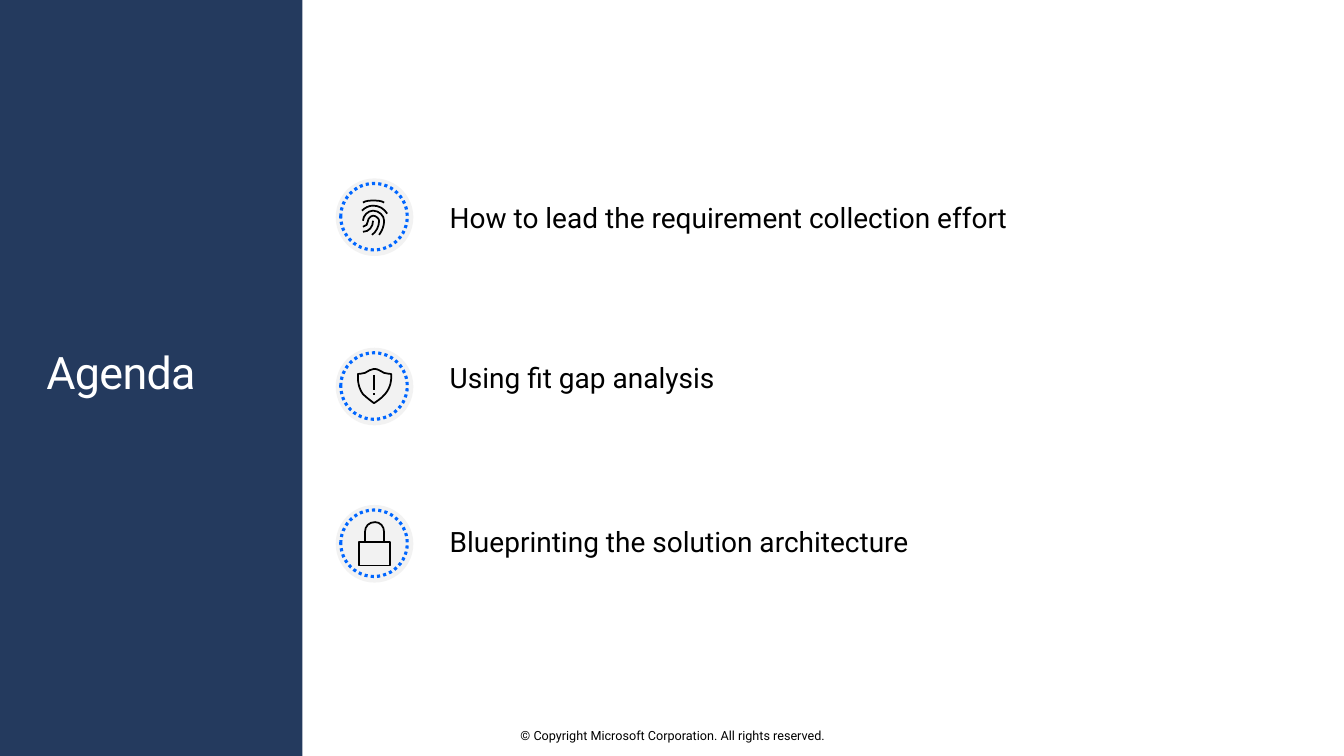
from lxml import etree
from pptx import Presentation
from pptx.dml.color import RGBColor
from pptx.enum.dml import MSO_LINE
from pptx.enum.shapes import MSO_SHAPE as Preset
from pptx.enum.text import MSO_ANCHOR as Anchor, MSO_AUTO_SIZE as AutoSize, PP_ALIGN as Align
from pptx.oxml.ns import qn
from pptx.util import Pt

PX = 9144  # EMU per px, 100 px to the inch
WIDTH, HEIGHT = 1333, 750
FONT = "Roboto"
NAVY = RGBColor(0x24, 0x3A, 0x5E)
BLUE = RGBColor(0x00, 0x66, 0xFF)
GREY = RGBColor(0xF2, 0xF2, 0xF2)
BLACK = RGBColor(0x00, 0x00, 0x00)
WHITE = RGBColor(0xFF, 0xFF, 0xFF)

BADGE_SIZE = 77
RING_INSET, RING_SIZE = 5, 66

# Icon strokes in px from the badge corner: a start point, then line ends
# (two numbers) or cubic curves (six numbers).
FINGERPRINT = [
    [(37, 42), (37, 48, 33, 53, 27, 53)],
    [(48, 24), (45, 22, 41, 22, 37, 22), (34, 22, 30, 22, 27, 24)],
    [(51, 35), (48, 30, 43, 27, 37, 27), (33, 27, 29, 29, 26, 32)],
    [(43, 56), (46, 52, 48, 47, 48, 42), (48, 37, 43, 32, 37, 32),
     (32, 32, 27, 37, 27, 42)],
    [(36, 56), (40, 53, 43, 48, 43, 42), (43, 40, 40, 37, 37, 37),
     (35, 37, 32, 40, 32, 42), (32, 45, 30, 48, 27, 48)],
]
SHIELD = [
    [(27, 46), (22, 39, 22, 31, 22, 31), (22, 26), (22, 26, 26, 26, 29, 25),
     (33, 23, 35, 21, 38, 21), (42, 21, 44, 23, 48, 25),
     (51, 26, 55, 26, 55, 26), (55, 31), (55, 31, 55, 39, 49, 46),
     (46, 50, 38, 55, 38, 55), (38, 55, 31, 50, 27, 46)],
    [(38, 27), (38, 42)],
    [(38, 45), (38, 47)],
]
PADLOCK = [
    [(54, 60), (23, 60), (23, 37), (54, 37), (54, 60)],
    [(48, 37), (48, 27), (48, 21, 44, 17, 39, 17),
     (33, 17, 29, 21, 29, 27), (29, 37)],
]

# Icon, badge top, text top, wording
AGENDA = [
    (FINGERPRINT, 177, 149, "How to lead the requirement collection effort"),
    (SHIELD, 345, 307, "Using fit gap analysis"),
    (PADLOCK, 501, 470, "Blueprinting the solution architecture"),
]


def emu(*lengths):
    return [length * PX for length in lengths]


def write(shape, text, size, color, align=Align.LEFT, margins=(0, 0, 0, 0)):
    frame = shape.text_frame
    frame.word_wrap = True
    frame.auto_size = AutoSize.NONE
    frame.vertical_anchor = Anchor.MIDDLE
    (frame.margin_left, frame.margin_top,
     frame.margin_right, frame.margin_bottom) = emu(*margins)
    paragraph = frame.paragraphs[0]
    paragraph.alignment = align
    run = paragraph.add_run()
    run.text = text
    run.font.name = FONT
    run.font.size = Pt(size)
    run.font.color.rgb = color
    return run


def add_plain_shape(shapes, preset, box, fill=None):
    shape = shapes.add_shape(preset, *emu(*box))
    shape.shadow.inherit = False
    shape.line.fill.background()
    if fill is None:
        shape.fill.background()
    else:
        shape.fill.solid()
        shape.fill.fore_color.rgb = fill
    return shape


def set_line(shape, color, width):
    shape.line.color.rgb = color
    shape.line.width = Pt(width)


def bend(line_to, segment, left, top):
    """Turn a drawn line segment into a cubic curve."""
    line_to.tag  # the segment keeps its place in the outline
    curve = etree.Element(qn("a:cubicBezTo"))
    for x, y in zip(segment[::2], segment[1::2]):
        etree.SubElement(curve, qn("a:pt"), x=str(x * PX - left), y=str(y * PX - top))
    line_to.getparent().replace(line_to, curve)


def add_icon(shapes, strokes, left, top):
    builder = None
    for stroke in strokes:
        points = [emu(left + point[-2], top + point[-1]) for point in stroke]
        if builder is None:
            builder = shapes.build_freeform(*points[0], scale=1.0)
        else:
            builder.move_to(*points[0])
        builder.add_line_segments(points[1:], close=points[0] == points[-1])
    icon = builder.convert_to_shape()
    icon.shadow.inherit = False
    icon.fill.background()
    set_line(icon, BLACK, 1.25)

    # Bend the segments that carry control points
    segments = [segment for stroke in strokes for segment in stroke[1:]]
    lines = list(icon._element.iter(qn("a:lnTo")))
    for line_to, segment in zip(lines, segments):
        if len(segment) == 6:
            bend(line_to, segment, icon.left - left * PX, icon.top - top * PX)


def add_badge(slide, strokes, left, top):
    shapes = slide.shapes.add_group_shape().shapes
    add_plain_shape(shapes, Preset.OVAL, (left, top, BADGE_SIZE, BADGE_SIZE), GREY)
    ring = add_plain_shape(shapes, Preset.OVAL, (left + RING_INSET, top + RING_INSET,
                                                 RING_SIZE, RING_SIZE))
    set_line(ring, BLUE, 2.25)
    ring.line.dash_style = MSO_LINE.ROUND_DOT
    add_icon(shapes, strokes, left, top)


def add_title_panel(slide, left, top, width, height):
    add_plain_shape(slide.shapes, Preset.RECTANGLE, (left, top, width, height), NAVY)
    title = slide.shapes.title
    title.left, title.top, title.width, title.height = emu(left + 46, top + 338, 214, 74)
    run = write(title, "Agenda", 32, WHITE, margins=(0, 10, 16, 16))
    title.text_frame.paragraphs[0].line_spacing = 0.9
    run.font._element.set("spc", "-50")
    # Bring the title in front of the panel
    slide.shapes._spTree.append(title._element)


def add_agenda(slide, left, width):
    for _, _, text_top, wording in AGENDA:
        text_box = slide.shapes.add_textbox(*emu(left + 113, text_top, width - 113, 134))
        write(text_box, wording, 20, BLACK)
    for strokes, badge_top, _, _ in AGENDA:
        add_badge(slide, strokes, left, badge_top)


def add_footer(slide, left, top, width, height):
    footer = slide.shapes.add_textbox(*emu(left, top, width, height))
    write(footer, "© Copyright Microsoft Corporation. All rights reserved.", 9, BLACK,
          Align.CENTER)


def main():
    presentation = Presentation()
    presentation.slide_width, presentation.slide_height = emu(WIDTH, HEIGHT)
    slide = presentation.slides.add_slide(presentation.slide_layouts[5])
    add_title_panel(slide, 0, 0, 300, HEIGHT)
    add_footer(slide, 442, 722, 450, 15)
    add_agenda(slide, 333, 955)
    presentation.save("out.pptx")


if __name__ == "__main__":
    main()
